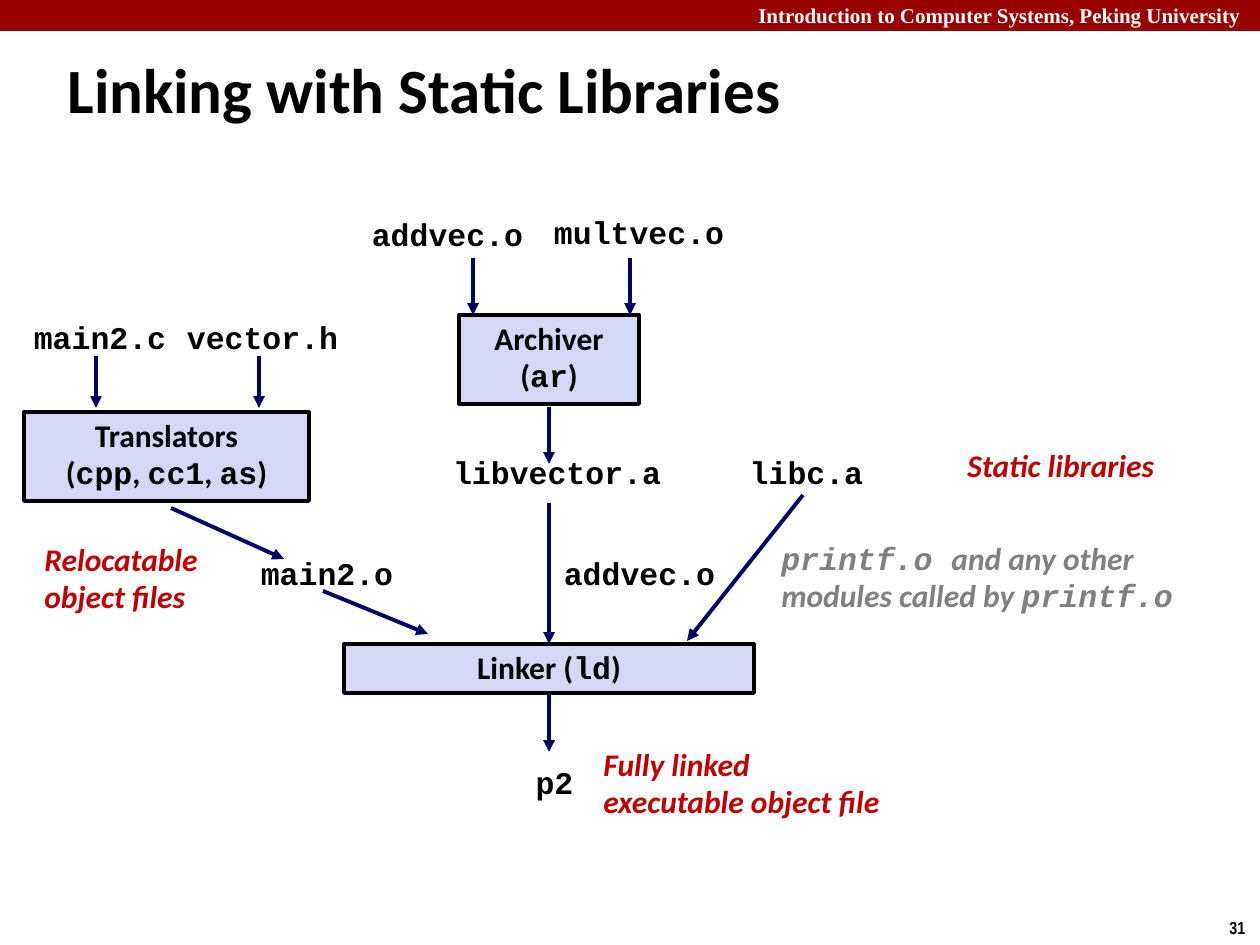
import pptx
import pptx.dml.color
import pptx.enum.shapes
import pptx.enum.text
import pptx.oxml.ns
import pptx.util
from lxml import etree

PX = 914400 / 126  # EMU per px
COLORS = {
    "bar": "990000", "white": "FFFFFF", "black": "000000", "box": "D6D6F5",
    "arrow": "000066", "note": "C00000", "muted": "808080",
}
ALIGN = pptx.enum.text.PP_ALIGN
ANCHOR = pptx.enum.text.MSO_ANCHOR
FIT = pptx.enum.text.MSO_AUTO_SIZE
RECTANGLE = pptx.enum.shapes.MSO_SHAPE.RECTANGLE
STRAIGHT = pptx.enum.shapes.MSO_CONNECTOR.STRAIGHT


def emu(*lengths):
    return [round(length * PX) for length in lengths]


def color(name):
    return pptx.dml.color.RGBColor.from_string(COLORS[name])


def set_values(target, values):
    for name, value in values.items():
        setattr(target, name, value)


class Diagram:
    """Holds the style and the current slide; all lengths are in px."""

    font = "Calibri"
    code_font = "Courier New"
    size = 18
    line_width = 2.25
    frame = {"word_wrap": True, "auto_size": FIT.NONE, "vertical_anchor": ANCHOR.TOP}

    def __init__(self, slide):
        self.slide = slide

    def fill_text(self, shape, text, ink="black", font=None, size=None, italic=None,
                  align=ALIGN.LEFT, spacing=None, **frame):
        """Fill a shape with bold text; parts between backticks use the code font."""
        set_values(shape.text_frame, {**self.frame, **frame})
        for index, line in enumerate(text.split("\n")):
            if index:
                paragraph = shape.text_frame.add_paragraph()
            else:
                paragraph = shape.text_frame.paragraphs[0]
            lead = 0.94 if line.startswith("`") else 0.98
            set_values(paragraph, {"alignment": align, "line_spacing": spacing or lead})
            for part, words in enumerate(line.split("`")):
                if not words:
                    continue
                run = paragraph.add_run()
                run.text = words
                set_values(run.font, {
                    "name": self.code_font if part % 2 else font or self.font,
                    "size": pptx.util.Pt(size or self.size),
                    "bold": True, "italic": italic,
                })
                run.font.color.rgb = color(ink)

    def text(self, left, top, width, height, text, **style):
        shape = self.slide.shapes.add_textbox(*emu(left, top, width, height))
        self.fill_text(shape, text, **style)

    def rectangle(self, left, top, width, height, fill):
        shape = self.slide.shapes.add_shape(RECTANGLE, *emu(left, top, width, height))
        shape.shadow.inherit = False
        shape.fill.solid()
        shape.fill.fore_color.rgb = color(fill)
        shape.line.fill.background()
        return shape

    def tool(self, left, top, width, height, text):
        """Outlined box for one program of the tool chain."""
        shape = self.rectangle(left, top, width, height, "box")
        shape.line.color.rgb = color("black")
        shape.line.width = pptx.util.Pt(self.line_width)
        self.fill_text(shape, text, align=ALIGN.CENTER)

    def file(self, left, top, name):
        """File name in a box as wide as its letters."""
        self.text(left, top, 25 + 19 * len(name), 49, f"`{name}`",
                  align=ALIGN.CENTER, word_wrap=False, auto_size=FIT.SHAPE_TO_FIT_TEXT)

    def note(self, left, top, width, height, text, ink="note"):
        self.text(left, top, width, height, text, ink=ink, italic=True,
                  word_wrap=False, auto_size=FIT.SHAPE_TO_FIT_TEXT)

    def arrow(self, *ends):
        connector = self.slide.shapes.add_connector(STRAIGHT, *emu(*ends))
        connector.line.color.rgb = color("arrow")
        connector.line.width = pptx.util.Pt(self.line_width)
        qn = pptx.oxml.ns.qn
        properties = connector._element.spPr
        etree.SubElement(properties.find(qn("a:ln")), qn("a:tailEnd"), type="triangle")
        etree.SubElement(properties, qn("a:effectLst"))


def main():
    presentation = pptx.Presentation()
    presentation.slide_width, presentation.slide_height = emu(1260, 945)
    diagram = Diagram(presentation.slides.add_slide(presentation.slide_layouts[6]))

    diagram.rectangle(0, 0, 1260, 31, "bar")
    diagram.text(746, -4, 514, 38, "Introduction to Computer Systems, Peking University",
                 ink="white", font="Times New Roman", size=12, spacing=1.0)
    diagram.text(1217, 911, 43, 34, "31", font="Arial Narrow", size=10,
                 spacing=1.0, word_wrap=False)
    diagram.text(55, 34, 1201, 108, "Linking with Static Libraries", size=36,
                 spacing=1.0, vertical_anchor=ANCHOR.MIDDLE)

    for tool in (
        (24, 412, 285, 89, "Translators\n(`cpp`, `cc1`, `as`)"),
        (459, 315, 180, 89, "Archiver\n(`ar`)"),
        (344, 644, 410, 49, "Linker (`ld`)"),
    ):
        diagram.tool(*tool)

    for file in (
        (359, 212, "addvec.o"), (541, 210, "multvec.o"),
        (21, 315, "main2.c"), (174, 315, "vector.h"),
        (440, 450, "libvector.a"), (737, 450, "libc.a"),
        (248, 551, "main2.o"), (551, 551, "addvec.o"),
        (523, 760, "p2"),
    ):
        diagram.file(*file)

    diagram.note(955, 442, 214, 50, "Static libraries")
    diagram.note(32, 536, 180, 88, "Relocatable\nobject files")
    diagram.note(591, 741, 305, 88, "Fully linked\nexecutable object file")
    diagram.note(769, 536, 438, 87,
                 "`printf.o `and any other\nmodules called by `printf.o`", ink="muted")

    for x, top, bottom in (
        (96, 356, 408), (259, 356, 408),
        (473, 258, 315), (630, 258, 315),
        (549, 407, 464), (549, 503, 644), (549, 695, 752),
    ):
        diagram.arrow(x, top, x, bottom)
    for ends in ((171, 508, 284, 559), (323, 591, 428, 634), (803, 495, 687, 641)):
        diagram.arrow(*ends)

    presentation.save("out.pptx")


if __name__ == "__main__":
    main()
